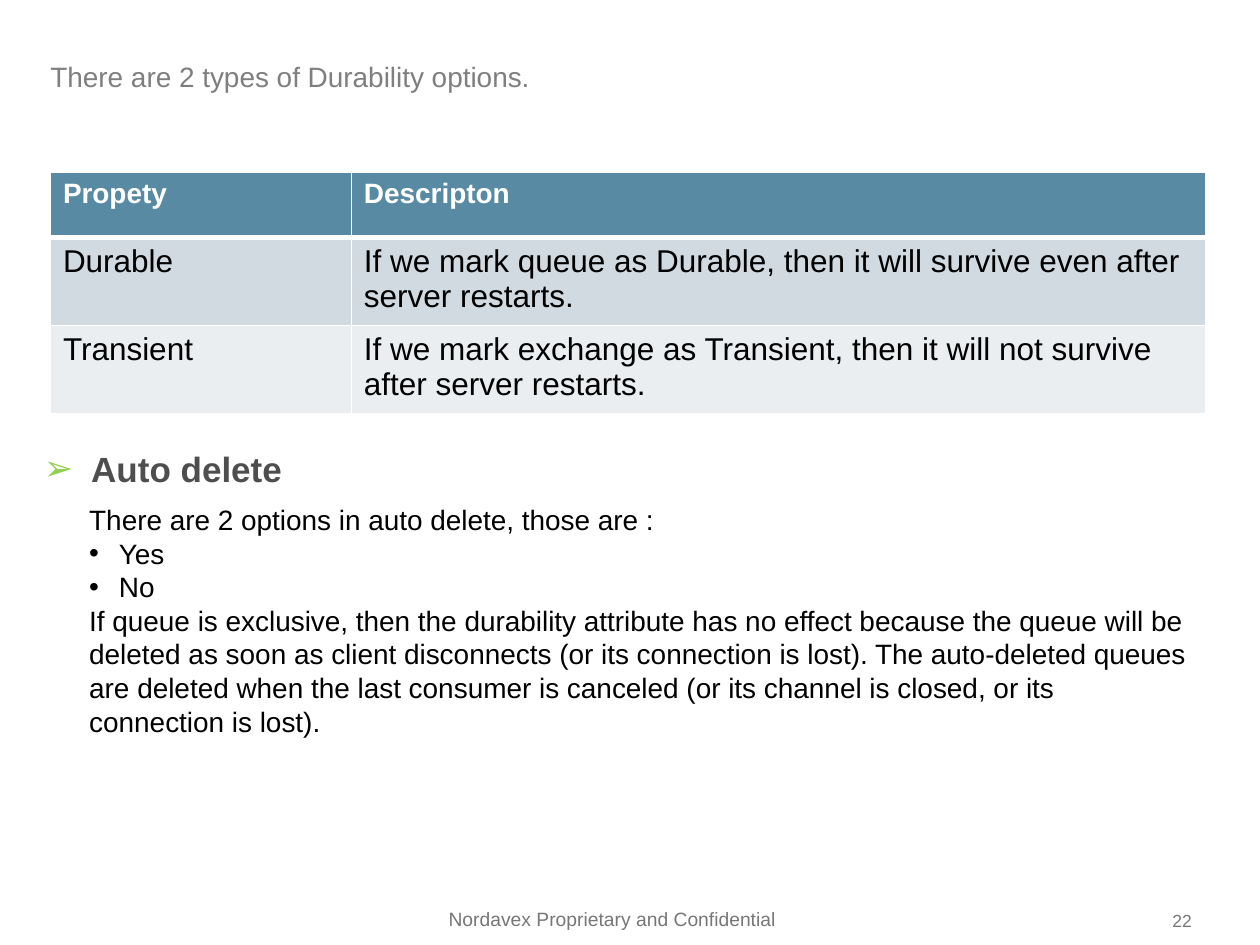
"""Build the slide on queue durability and auto delete options."""
from lxml import etree
from pptx import Presentation
from pptx.dml.color import RGBColor
from pptx.enum.text import MSO_ANCHOR, PP_ALIGN
from pptx.oxml.ns import qn
from pptx.util import Pt

TOP, MIDDLE, BOTTOM = MSO_ANCHOR.TOP, MSO_ANCHOR.MIDDLE, MSO_ANCHOR.BOTTOM
LEFT, RIGHT = PP_ALIGN.LEFT, PP_ALIGN.RIGHT
FONT = "Arial"
WHITE = RGBColor(0xFF, 0xFF, 0xFF)
BLACK = RGBColor(0, 0, 0)
TITLE_GREY = RGBColor(0x7F, 0x7F, 0x7F)
FOOTER_GREY = RGBColor(0x77, 0x77, 0x77)
HEADING_GREY = RGBColor(0x4E, 0x4E, 0x4E)
GREEN = RGBColor(0x92, 0xD0, 0x50)
HEADER_FILL = RGBColor(0x58, 0x8B, 0xA3)
BAND_FILLS = (RGBColor(0xD1, 0xDA, 0xE0), RGBColor(0xEA, 0xEE, 0xF0))

COLUMN_WIDTHS = (172, 488)
ROW_HEIGHTS = (37.5, 50.4, 50.4)
ROWS = (
    ("Propety", "Descripton"),
    ("Durable", "If we mark queue as Durable, then it will survive even after server restarts."),
    ("Transient", "If we mark exchange as Transient, then it will not survive after server restarts."),
)
AUTO_DELETE = (
    "There are 2 options in auto delete, those are :",
    "Yes",
    "No",
    "If queue is exclusive, then the durability attribute has no effect because the queue "
    "will be deleted as soon as client disconnects (or its connection is lost). The "
    "auto-deleted queues are deleted when the last consumer is canceled (or its channel is "
    "closed, or its connection is lost).",
)


def style_font(para, size, color, bold=False):
    """Set the font of a whole paragraph."""
    font = para.font
    font.name, font.size, font.bold = FONT, Pt(size), bold
    font.color.rgb = color


def add_text(page, place, lines, size, color, bold=False, margins=(0, 0),
             anchor=TOP, align=LEFT):
    """Add a wrapped text box and return its paragraphs."""
    box = page.shapes.add_textbox(*map(Pt, place))
    frame = box.text_frame
    frame.word_wrap = True
    frame.vertical_anchor = anchor
    frame.margin_left = frame.margin_right = Pt(margins[0])
    frame.margin_top = frame.margin_bottom = Pt(margins[1])
    frame.text = "\n".join(lines)
    for para in frame.paragraphs:
        para.alignment = align
        style_font(para, size, color, bold)
    return frame.paragraphs


def add_bullet(para, symbol, indent, color):
    """Give a paragraph a hanging bullet."""
    props = para._p.get_or_add_pPr()
    props.set("marL", str(Pt(indent)))
    props.set("indent", str(-Pt(indent)))
    bullet_color = etree.Element(qn("a:buClr"))
    etree.SubElement(bullet_color, qn("a:srgbClr"), val=str(color))
    typeface = etree.Element(qn("a:buFont"), typeface=FONT)
    character = etree.Element(qn("a:buChar"), char=symbol)
    for position, element in enumerate((bullet_color, typeface, character)):
        props.insert(position, element)


def add_borders(cell, top, bottom):
    """Draw white borders around a cell."""
    props = cell._tc.get_or_add_tcPr()
    for side, width in (("L", 1), ("R", 1), ("T", top), ("B", bottom)):
        line = etree.SubElement(props, qn(f"a:ln{side}"), w=str(Pt(width)))
        fill = etree.SubElement(line, qn("a:solidFill"))
        etree.SubElement(fill, qn("a:srgbClr"), val=str(WHITE))


def add_options_table(page):
    """Add the table of durability options."""
    place = (28.8, 98.2, sum(COLUMN_WIDTHS), sum(ROW_HEIGHTS))
    table = page.shapes.add_table(len(ROWS), len(COLUMN_WIDTHS), *map(Pt, place)).table
    for column, width in zip(table.columns, COLUMN_WIDTHS):
        column.width = Pt(width)
    for index, (row, height, texts) in enumerate(zip(table.rows, ROW_HEIGHTS, ROWS)):
        row.height = Pt(height)
        header = index == 0
        for cell, text in zip(row.cells, texts):
            add_borders(cell, 3 if index == 1 else 1, 3 if header else 1)
            cell.fill.solid()
            cell.fill.fore_color.rgb = HEADER_FILL if header else BAND_FILLS[index - 1]
            cell.text = text
            para = cell.text_frame.paragraphs[0]
            style_font(para, 16 if header else 18, WHITE if header else BLACK, header)


def main():
    """Assemble and save the slide."""
    deck = Presentation()
    deck.slide_width, deck.slide_height = Pt(720), Pt(540)
    page = deck.slides.add_slide(deck.slide_layouts[6])

    title = add_text(page, (28.8, 36, 662.4, 62), ["There are 2 types of Durability options."],
                     16, TITLE_GREY)
    title[0].line_spacing = 0.9
    add_options_table(page)
    heading = add_text(page, (18, 252, 411, 31.5), ["Auto delete"], 20, HEADING_GREY,
                       bold=True, margins=(7.2, 3.6))
    add_bullet(heading[0], "➢", 27, GREEN)
    details = add_text(page, (43.9, 283.7, 645, 143.3), AUTO_DELETE, 16, BLACK,
                       margins=(7.2, 3.6))
    for para in details[1:3]:
        add_bullet(para, "•", 17, BLACK)
    add_text(page, (256.3, 518.4, 229, 13.7), ["Nordavex Proprietary and Confidential"],
             11, FOOTER_GREY, anchor=MIDDLE)
    add_text(page, (652, 519.8, 29, 12.2), ["22"], 10, FOOTER_GREY, anchor=BOTTOM, align=RIGHT)
    deck.save("out.pptx")


if __name__ == "__main__":
    main()
